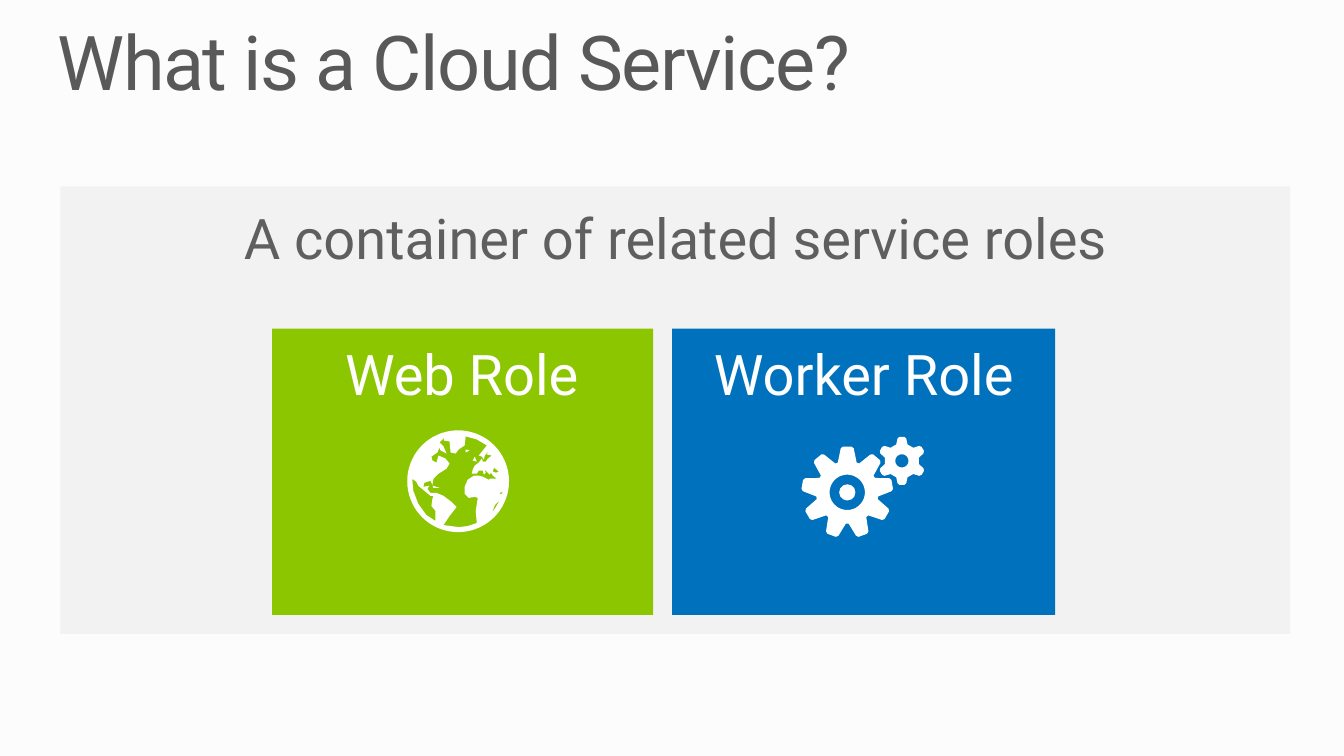
from math import cos, radians, sin

from pptx import Presentation
from pptx.dml.color import RGBColor
from pptx.enum.shapes import MSO_SHAPE as Preset
from pptx.enum.text import MSO_ANCHOR as Anchor, PP_ALIGN as Align
from pptx.util import Pt

COLORS = {
    "background": "FCFCFC",
    "container": "F2F2F2",
    "title": "595959",
    "heading": "5F5F5F",
    "web": "8CC600",
    "worker": "0071BC",
    "white": "FFFFFF",
}
GLOBE_UNIT = 0.72
ATLANTIC = [
    (69, 92), (68, 80), (70, 67), (67, 66), (61, 67), (57, 63), (57, 56), (60, 49),
    (66, 45), (71, 45), (75, 46), (81, 49), (82, 48), (89, 48), (85, 45), (83, 42),
    (82, 44), (76, 38), (78, 42), (76, 44), (75, 40), (71, 40), (69, 43), (64, 43),
    (65, 39), (67, 35), (71, 32), (74, 28), (75, 31), (78, 31), (80, 28), (84, 25),
    (79, 24), (81, 20), (77, 25), (76, 29), (74, 26), (71, 25), (79, 15), (69, 9),
    (58, 6), (57, 15), (51, 19), (48, 23), (43, 22), (42, 11), (36, 10), (37, 7),
    (32, 12), (36, 16), (39, 23), (33, 20), (32, 17), (30, 22), (24, 26), (25, 30),
    (29, 32), (31, 25), (38, 28), (42, 33), (39, 38), (31, 43), (26, 48), (25, 54),
    (23, 50), (17, 52), (16, 56), (22, 55), (20, 58), (23, 62), (29, 62), (36, 65),
    (44, 71), (49, 76), (42, 85), (36, 94), (51, 96), (60, 95),
]
PACIFIC = [
    (28, 90), (28, 80), (24, 75), (25, 68), (26, 65), (23, 65), (17, 60),
    (11, 55), (9, 51), (5, 48), (6, 60), (11, 73), (19, 84),
]
SMALL_WATERS = [
    [(95, 61), (92, 62), (87, 50), (92, 63), (94, 63)],
    [(92, 69), (87, 74), (84, 82), (88, 76)],
    [(58, 22), (62, 20), (58, 19)],
    [(67, 26), (69, 31), (65, 30)],
    [(85, 41), (86, 37), (91, 41), (88, 42)],
    [(25, 55), (32, 57), (26, 57)],
]


def rgb(name):
    return RGBColor.from_string(COLORS[name])


def paint(shape, color):
    shape.shadow.inherit = False
    shape.fill.solid()
    shape.fill.fore_color.rgb = rgb(color)
    shape.line.fill.background()


def add_block(slide, box, color, preset=Preset.RECTANGLE):
    paint(slide.shapes.add_shape(preset, *map(Pt, box)), color)


def write(shape, text, size, color, align=Align.CENTER, line_spacing=1.0,
          before=0, tracking=0):
    frame = shape.text_frame
    frame.word_wrap = True
    frame.vertical_anchor = Anchor.TOP
    frame.margin_left = frame.margin_right = frame.margin_top = frame.margin_bottom = 0
    paragraph = frame.paragraphs[0]
    paragraph.alignment = align
    paragraph.line_spacing = line_spacing
    paragraph.space_before = Pt(before)
    run = paragraph.add_run()
    run.text = text
    run.font.name = "Roboto"
    run.font.size = Pt(size)
    run.font.color.rgb = rgb(color)
    if tracking:
        run.font._element.set("spc", str(tracking * 100))


def add_label(slide, box, text, **text_format):
    write(slide.shapes.add_textbox(*map(Pt, box)), text, **text_format)


def add_outline(slide, contours, color):
    rings = [[(Pt(x), Pt(y)) for x, y in contour] for contour in contours]
    builder = slide.shapes.build_freeform(*rings[0][0])
    for index, ring in enumerate(rings):
        if index:
            builder.move_to(*ring[0])
        builder.add_line_segments(ring[1:], close=True)
    paint(builder.convert_to_shape(), color)


def polar(center, radius, degrees):
    angle = radians(degrees)
    return center[0] + radius * cos(angle), center[1] + radius * sin(angle)


def circle(center, radius):
    return [polar(center, radius, degrees) for degrees in range(0, 360, 5)]


def add_gear(slide, center, teeth, profile, hole):
    half_tooth = profile + [(radius, -offset) for radius, offset in reversed(profile)]
    rim = [
        polar(center, radius, -90 + 360 * tooth / teeth - offset)
        for tooth in range(teeth)
        for radius, offset in half_tooth
    ]
    add_outline(slide, [rim, circle(center, hole)], "white")


def add_globe(slide, left, top):
    waters = [
        [(left + x * GLOBE_UNIT, top + y * GLOBE_UNIT) for x, y in water]
        for water in [ATLANTIC, PACIFIC] + SMALL_WATERS
    ]
    radius = 50.5 * GLOBE_UNIT
    disc = circle((left + radius, top + radius), radius)
    add_outline(slide, [disc] + waters, "white")


def add_role(slide, name, color, left, width, label_left):
    add_block(slide, (left, 234.7, width, 204.5), color)
    add_label(slide, (label_left, 247.7, 273.6, 43.9), name, size=40,
              color="white", line_spacing=0.9, before=8)


def main():
    deck = Presentation()
    deck.slide_width, deck.slide_height = Pt(960), Pt(540)
    slide = deck.slides.add_slide(deck.slide_layouts[5])
    slide.background.fill.solid()
    slide.background.fill.fore_color.rgb = rgb("background")

    title = slide.shapes.title
    title.left, title.top, title.width, title.height = map(Pt, (41, 18, 877.7, 59))
    write(title, "What is a Cloud Service?", size=54, color="title",
          align=Align.LEFT, line_spacing=0.9, tracking=-1)

    add_block(slide, (43.2, 133.2, 878.4, 319.7), "container")
    add_label(slide, (43.2, 145.4, 878.4, 48.2), "A container of related service roles",
              size=40, color="heading", before=12)

    add_role(slide, "Web Role", "web", 194.4, 272.2, 193)
    add_role(slide, "Worker Role", "worker", 480.2, 273.6, 480.2)

    add_globe(slide, 290.9, 307.4)
    add_gear(slide, (605.2, 351.7), 9, [(22.3, 17.5), (31.7, 8.5), (32.8, 5.6)], 12.6)
    add_block(slide, (599.4, 345.9, 11.6, 11.6), "white", Preset.OVAL)
    add_gear(slide, (644.2, 329.2), 6, [(12.4, 19), (16.3, 11), (17.3, 5.5)], 4.7)

    deck.save("out.pptx")


main()
